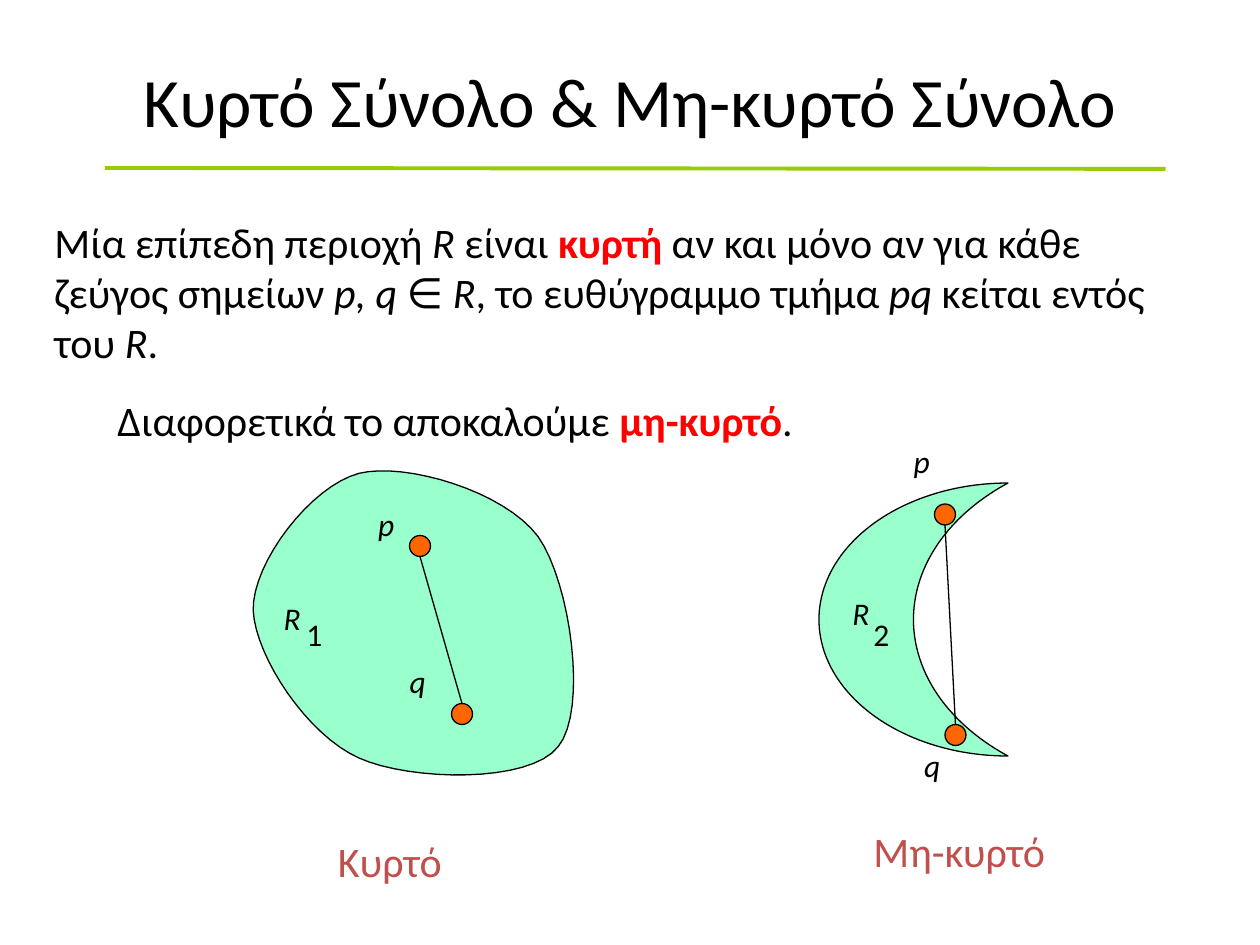
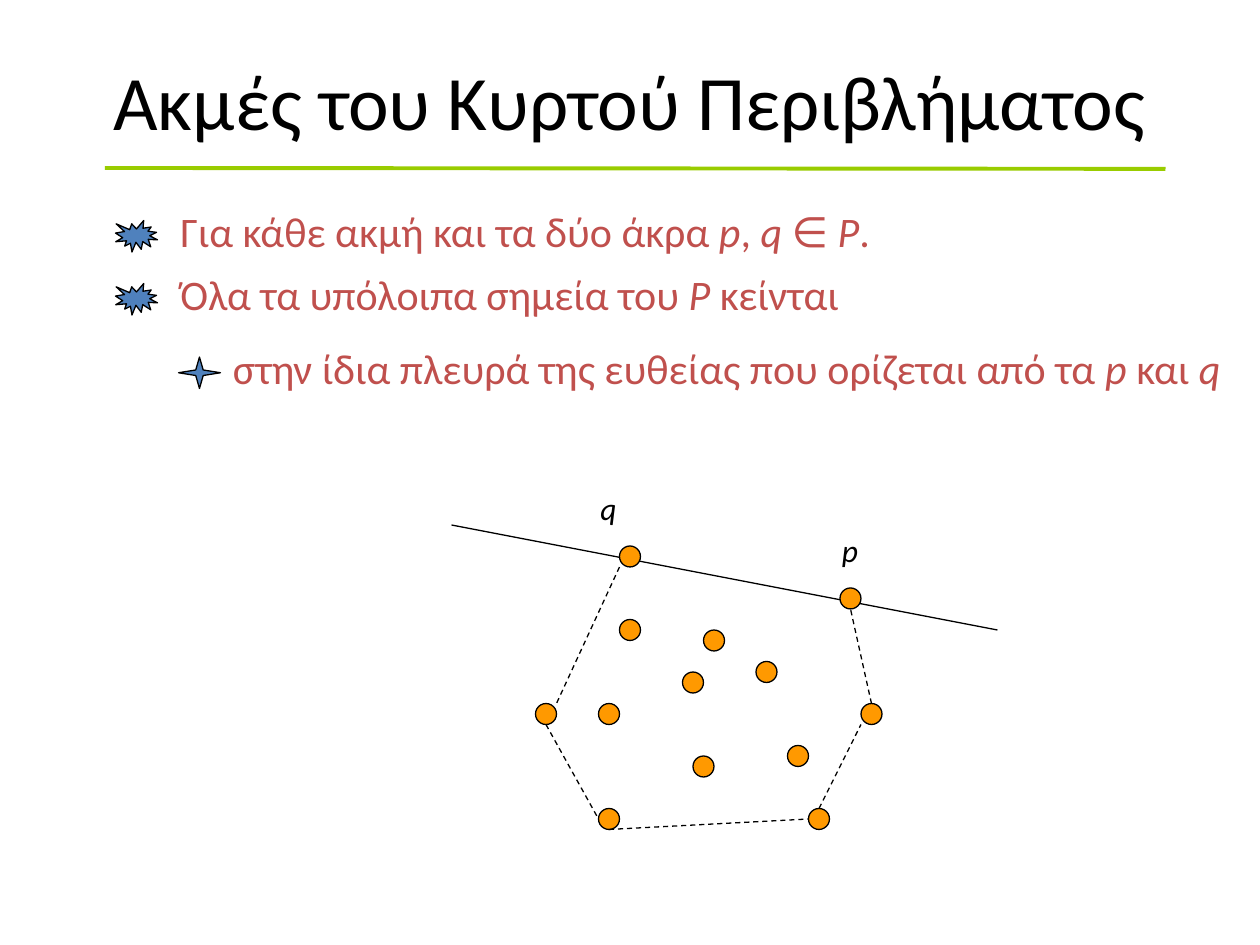
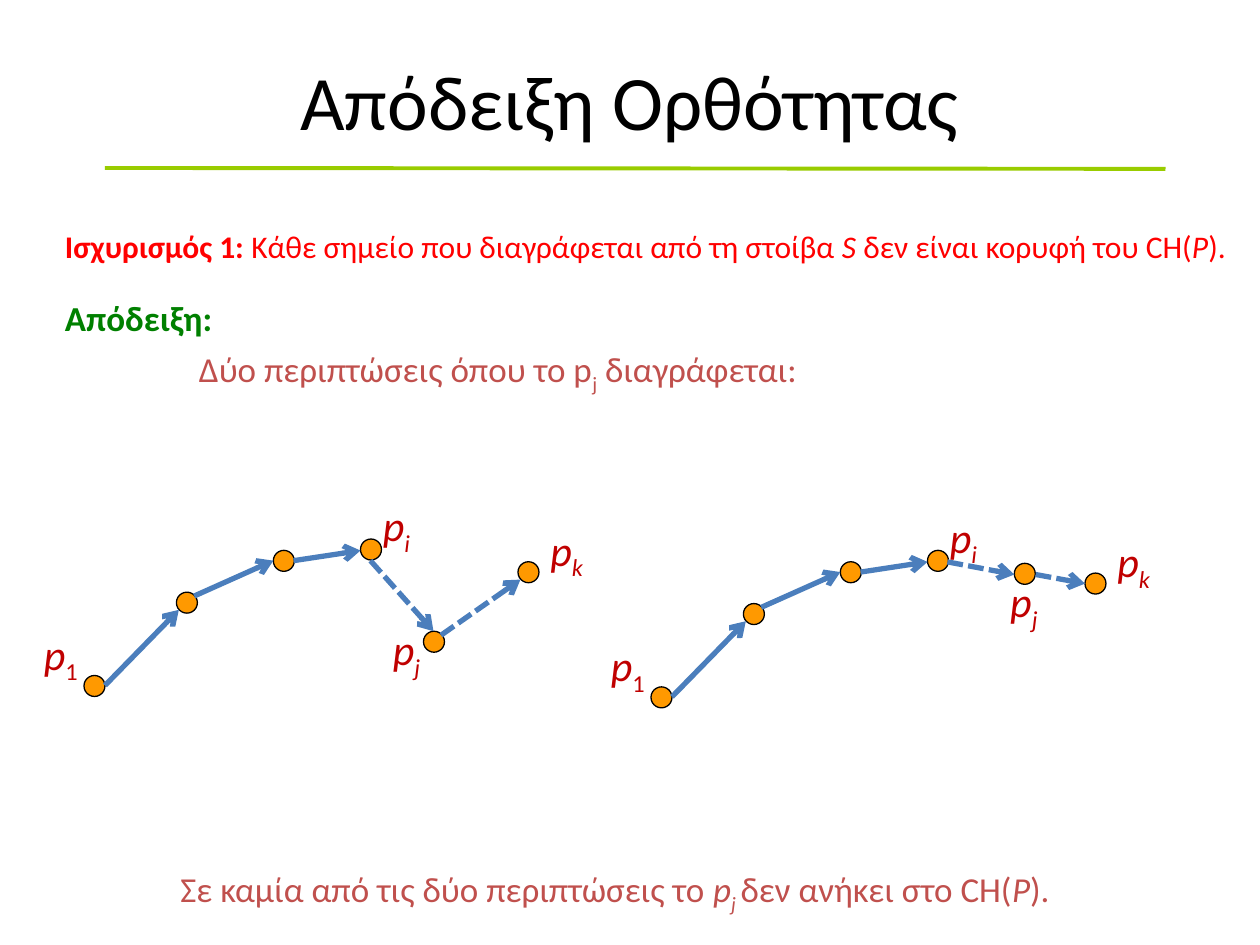
from collections import namedtuple

from lxml import etree
from pptx import Presentation
from pptx import util as u
from pptx.dml.color import RGBColor
from pptx.enum import dml, shapes, text
from pptx.oxml.ns import qn

COLORS = {
    "ink": "000000",
    "rule": "99CC00",
    "key": "FF0000",
    "accent": "C0504D",
    "proof": "008000",
    "label": "C00000",
    "region": "99FFCC",
    "pair": "FF6600",
    "point": "FF9900",
    "icon": "4F81BD",
    "arrow": "4B7EBC",
}
FONT = "Calibri"
DOT = 12
PRESET = shapes.MSO_SHAPE
DASH = dml.MSO_LINE.DASH
SHORT_DASH = dml.MSO_LINE.SQUARE_DOT
CURVE_STEPS = 16

Box = namedtuple("Box", "left top width height")


def inside(box, left, top, width=0, height=0):
    return Box(box.left + left, box.top + top, width, height)


def points(box):
    return [u.Pt(round(length, 2)) for length in box]


def rgb(name):
    return RGBColor.from_string(COLORS[name])


def write(page, box, runs, size, color="ink", wrap=False):
    """Flags of a run: b bold, i italic, s subscript, k key colour."""
    label = page.shapes.add_textbox(*points(box))
    frame = label.text_frame
    frame.word_wrap = wrap
    frame.auto_size = text.MSO_AUTO_SIZE.SHAPE_TO_FIT_TEXT
    para = frame.paragraphs[0]
    for words, flags in runs:
        span = para.add_run()
        span.text = words
        span.font.name = FONT
        span.font.size = u.Pt(size)
        span.font.bold = "b" in flags
        span.font.italic = "i" in flags
        span.font.color.rgb = rgb("key" if "k" in flags else color)
        if "s" in flags:
            span.font._element.set("baseline", "-25000")
    return label


def paint(shape, fill):
    shape.shadow.inherit = False
    shape.fill.solid()
    shape.fill.fore_color.rgb = rgb(fill)
    shape.line.color.rgb = rgb("ink")
    shape.line.width = u.Pt(0.75)


def draw(page, preset, box, fill):
    shape = page.shapes.add_shape(preset, *points(box))
    paint(shape, fill)
    return shape


def dots(page, box, places, fill):
    for left, top in places:
        draw(page, PRESET.OVAL, inside(box, left, top, DOT, DOT), fill)


def line(page, box, start, end, color="ink", width=0.75, dash=None, arrow=False):
    ends = points((*inside(box, *start)[:2], *inside(box, *end)[:2]))
    connector = page.shapes.add_connector(shapes.MSO_CONNECTOR.STRAIGHT, *ends)
    connector.line.color.rgb = rgb(color)
    connector.line.width = u.Pt(width)
    if dash:
        connector.line.dash_style = dash
    if arrow:
        outline = connector.line._get_or_add_ln()
        etree.SubElement(outline, qn("a:tailEnd"), type="arrow")
    etree.SubElement(connector._element.spPr, qn("a:effectLst"))


def titled_page(deck, title, size=44):
    page = deck.slides.add_slide(deck.slide_layouts[6])
    heading = write(page, Box(54, 12, 612, 90), [(title, "")], size, wrap=True)
    heading.text_frame.auto_size = text.MSO_AUTO_SIZE.NONE
    heading.text_frame.vertical_anchor = text.MSO_ANCHOR.MIDDLE
    heading.text_frame.paragraphs[0].alignment = text.PP_ALIGN.CENTER
    line(page, Box(60, 96, 606, 1), (0, 0), (606, 0.5), "rule", 2.25)
    return page


def bezier(start, first, second, end):
    for step in range(1, CURVE_STEPS + 1):
        t = step / CURVE_STEPS
        weights = ((1 - t) ** 3, 3 * t * (1 - t) ** 2, 3 * t * t * (1 - t), t ** 3)
        corners = (start, first, second, end)
        yield tuple(sum(w * c[axis] for w, c in zip(weights, corners))
                    for axis in (0, 1))


def convex_outline(page, box):
    start = (61.2, 6.5)
    curves = [
        ((87.8, 0), (144, 16.6), (163.4, 42.5)),
        ((182.2, 69.1), (192, 141.8), (175, 162.7)),
        ((158.4, 184), (90, 182.2), (61.2, 169.2)),
        ((31.7, 156.2), (2.2, 111.6), (0.7, 85)),
        ((0, 57.6), (33.8, 13.7), start),
    ]
    here, outline = start, []
    for curve in curves:
        outline.extend(bezier(here, *curve))
        here = curve[-1]
    corners = [points(inside(box, *corner)[:2]) for corner in outline]
    builder = page.shapes.build_freeform(*corners[-1])
    builder.add_line_segments(corners[:-1], close=True)
    paint(builder.convert_to_shape(), "region")


def moon_outline(page, box):
    draw(page, PRESET.MOON, box, "region").adjustments[0] = 0.5


def region(page, box, outline, pair, labels, caption):
    outline(page, box)
    dots(page, box, pair, "pair")
    (upper_left, upper_top), (lower_left, lower_top) = pair
    line(page, box, (upper_left + DOT / 2, upper_top + DOT),
         (lower_left + DOT / 2, lower_top))
    for words, flags, left, top, width in labels:
        write(page, inside(box, left, top, width, 36), [(words, flags)], 18)
    words, left, top, width = caption
    write(page, inside(box, left, top, width, 36), [(words, "")], 24, "accent")


def convexity_slide(deck):
    page = titled_page(deck, "Κυρτό Σύνολο & Μη-κυρτό Σύνολο", 39.6)
    write(page, Box(24, 120, 638, 94), [
        ("Μία επίπεδη περιοχή ", ""), ("R ", "i"), ("είναι ", ""),
        ("κυρτή ", "bk"), ("αν και μόνο αν για κάθε ζεύγος σημείων ", ""),
        ("p, q ", "i"), ("∈ ", ""), ("R", "i"),
        (", το ευθύγραμμο τμήμα ", ""), ("pq ", "i"),
        ("κείται εντός του ", ""), ("R", "i"), (".", ""),
    ], 24, wrap=True)
    write(page, Box(60, 222, 409, 36), [
        ("Διαφορετικά το αποκαλούμε ", ""), ("μη-κυρτό", "bk"), (".", ""),
    ], 24)
    region(page, Box(144, 264, 192, 184), convex_outline, [(90, 42), (114, 138)],
           [("p", "i", 65, 21, 27), ("q", "i", 83, 111, 27),
            ("R", "i", 11, 75, 29), ("1", "", 24, 84, 24)],
           ("Κυρτό", 42, 210, 74))
    region(page, Box(468, 276, 108, 156), moon_outline, [(66, 12), (72, 138)],
           [("p", "i", 47, -27, 27), ("q", "i", 53, 147, 27),
            ("R", "i", 12, 60, 29), ("2", "", 24, 72, 24)],
           ("Μη-κυρτό", 24, 192, 114))


def bullet(page, box, preset, gap, runs):
    draw(page, preset, inside(box, 0, 12, 24, 18), "icon")
    write(page, inside(box, gap, 0, box.width - gap, box.height), runs, 24, "accent")


def hull(page, box):
    corners = [(48, 126), (234, 126), (84, 186), (204, 186)]
    inner = [(96, 78), (132, 108), (174, 102), (138, 156), (144, 84),
             (84, 126), (192, 150)]
    edge_ends = [(96, 36), (222, 60)]
    line(page, box, (0, 24), (box.width, 84))
    dots(page, box, corners + inner + edge_ends, "point")
    sides = [
        ((96, 48), (60, 126)),
        ((54, 138), (84, 192)),
        ((90, 198), (204, 192)),
        ((210, 186), (234, 138)),
        ((240, 126), (228, 72)),
    ]
    for start, end in sides:
        line(page, box, start, end, dash=DASH)
    for name, left, top in (("q", 78, 0), ("p", 216, 24)):
        write(page, inside(box, left, top, 27, 36), [(name, "i")], 18)


def hull_edges_slide(deck):
    page = titled_page(deck, "Ακμές του Κυρτού Περιβλήματος")
    bullet(page, Box(66, 114, 449, 36), PRESET.EXPLOSION1, 30, [
        ("Για κάθε ακμή και τα δύο άκρα ", ""), ("p", "i"), (", ", ""),
        ("q ", "i"), ("∈ ", ""), ("P", "i"), (".", ""),
    ])
    bullet(page, Box(66, 150, 430, 36), PRESET.EXPLOSION1, 30, [
        ("Όλα τα υπόλοιπα σημεία του ", ""), ("P ", "i"), ("κείνται", ""),
    ])
    bullet(page, Box(102, 192, 622, 36), PRESET.STAR_4_POINT, 24, [
        ("στην ίδια πλευρά της ευθείας που ορίζεται από τα ", ""),
        ("p ", "i"), ("και ", ""), ("q", "i"),
    ])
    hull(page, Box(258, 276, 312, 198))


def chain(page, box, removed, removed_label, dashed):
    kept = [(30, 104), (82.8, 56.4), (138.2, 32.5), (188, 26), (278, 39)]
    dots(page, box, kept + [removed], "point")
    labels = [("1", "s", (0, 73.5), 35), ("i", "is", (193.7, 0), 31),
              ("j", "is", removed_label, 31), ("k", "is", (289.4, 14), 35)]
    for index, flags, place, width in labels:
        write(page, inside(box, *place, width, 36), [("p", "i"), (index, flags)],
              24, "label")
    solid = [
        ((42, 109.7), (84.2, 66.5)),
        ((93, 58.6), (138.2, 38.4)),
        ((149.8, 38.4), (188, 32.6)),
    ]
    for arrows, dash in ((solid, None), (dashed, SHORT_DASH)):
        for start, end in arrows:
            line(page, box, start, end, "arrow", 3, dash, arrow=True)


def proof_slide(deck):
    page = titled_page(deck, "Απόδειξη Ορθότητας")
    write(page, Box(30, 126, 694, 29), [
        ("Ισχυρισμός 1: ", "b"),
        ("Κάθε σημείο που διαγράφεται από τη στοίβα ", ""), ("S ", "i"),
        ("δεν είναι κορυφή του CH(", ""), ("P", "i"), (").", ""),
    ], 18, "key")
    write(page, Box(30, 165.6, 99, 32), [("Απόδειξη:", "b")], 20, "proof")
    write(page, Box(106.6, 195, 364, 32), [
        ("Δύο περιπτώσεις όπου το p", ""), ("j", "s"), (" διαγράφεται: ", ""),
    ], 20, "accent")
    chain(page, Box(18, 282, 324, 120), (224, 78.7), (199.4, 70.8),
          [((193.7, 38.4), (229.7, 78.7)), ((234, 81), (279.4, 49.2))])
    chain(page, Box(342, 288.5, 324, 120), (237.6, 33.4), (228.2, 37),
          [((199.4, 32.6), (237.6, 39.8)), ((249.8, 39.8), (278, 45))])
    write(page, Box(96, 492, 534, 32), [
        ("Σε καμία από τις δύο περιπτώσεις το ", ""), ("p", "i"), ("j ", "is"),
        ("δεν ανήκει στο CH(", ""), ("P", "i"), (").", ""),
    ], 20, "accent")


def main():
    deck = Presentation()
    deck.slide_width, deck.slide_height = u.Pt(720), u.Pt(540)
    convexity_slide(deck)
    hull_edges_slide(deck)
    proof_slide(deck)
    deck.save("out.pptx")


if __name__ == "__main__":
    main()
